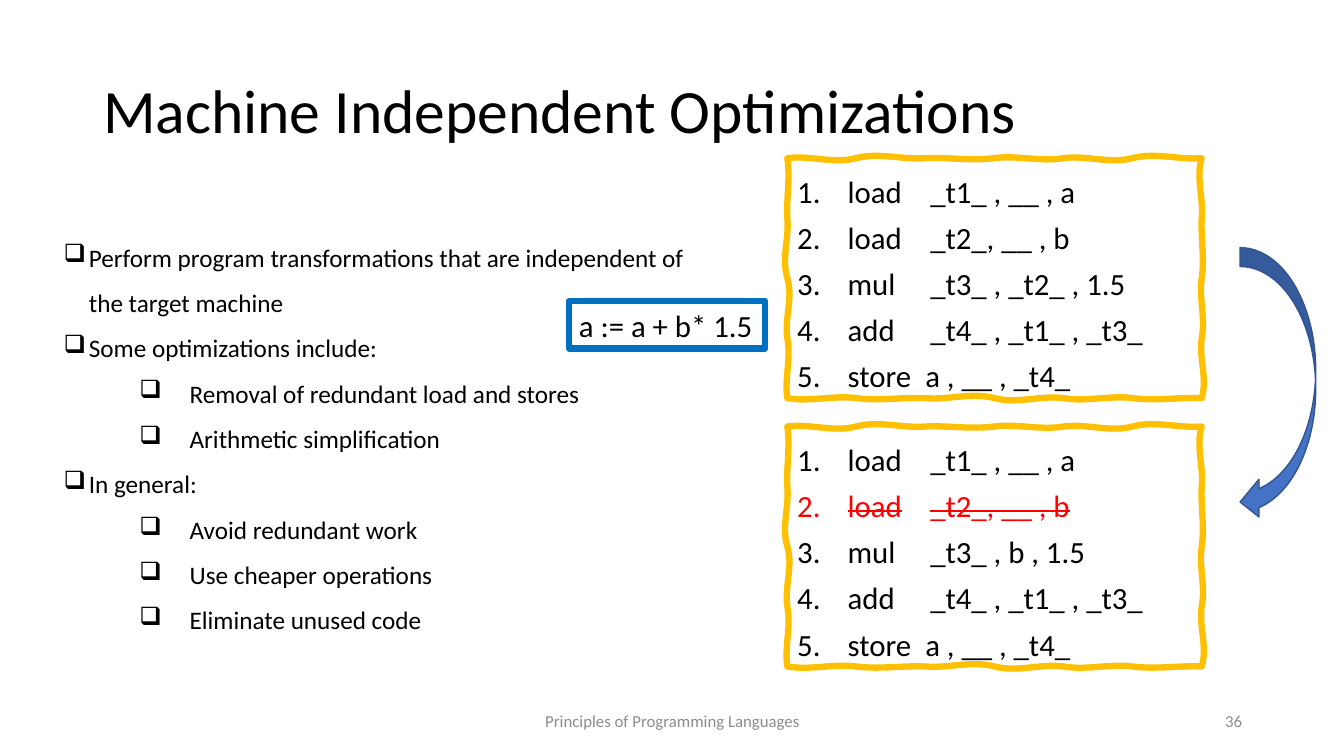
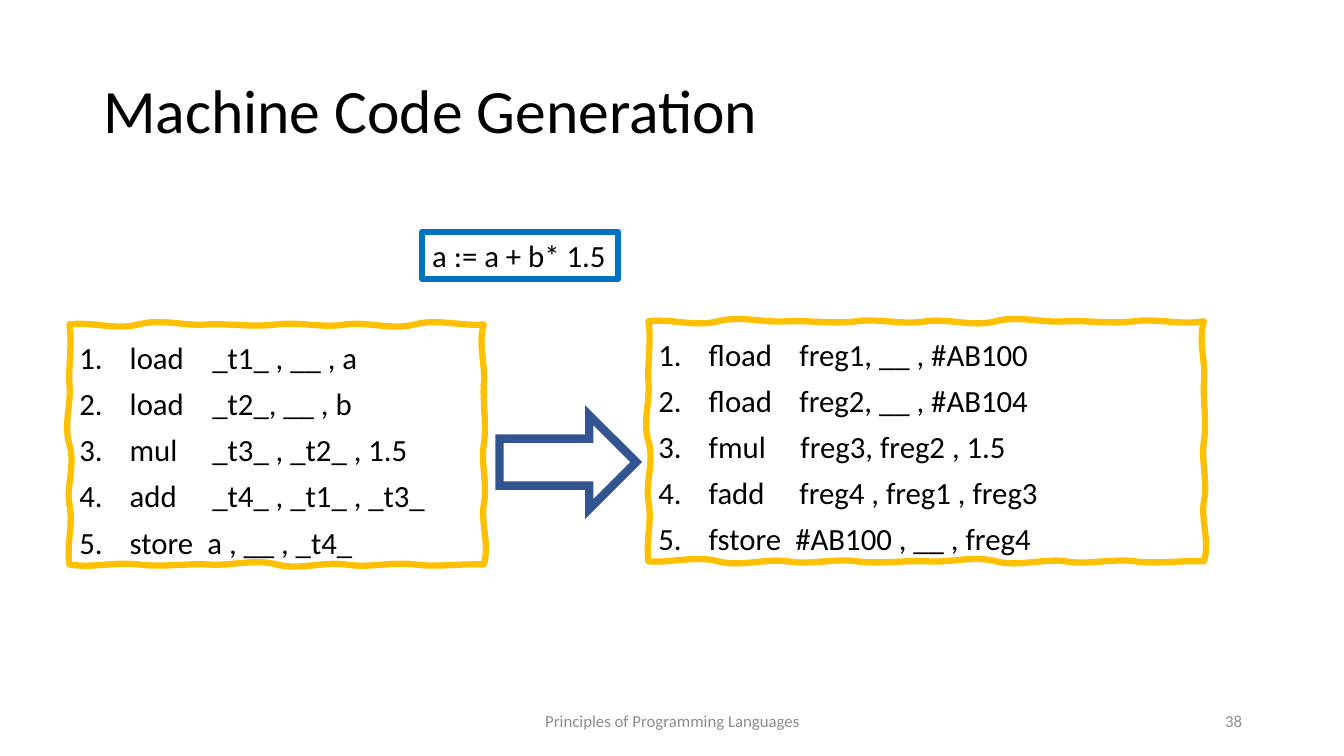
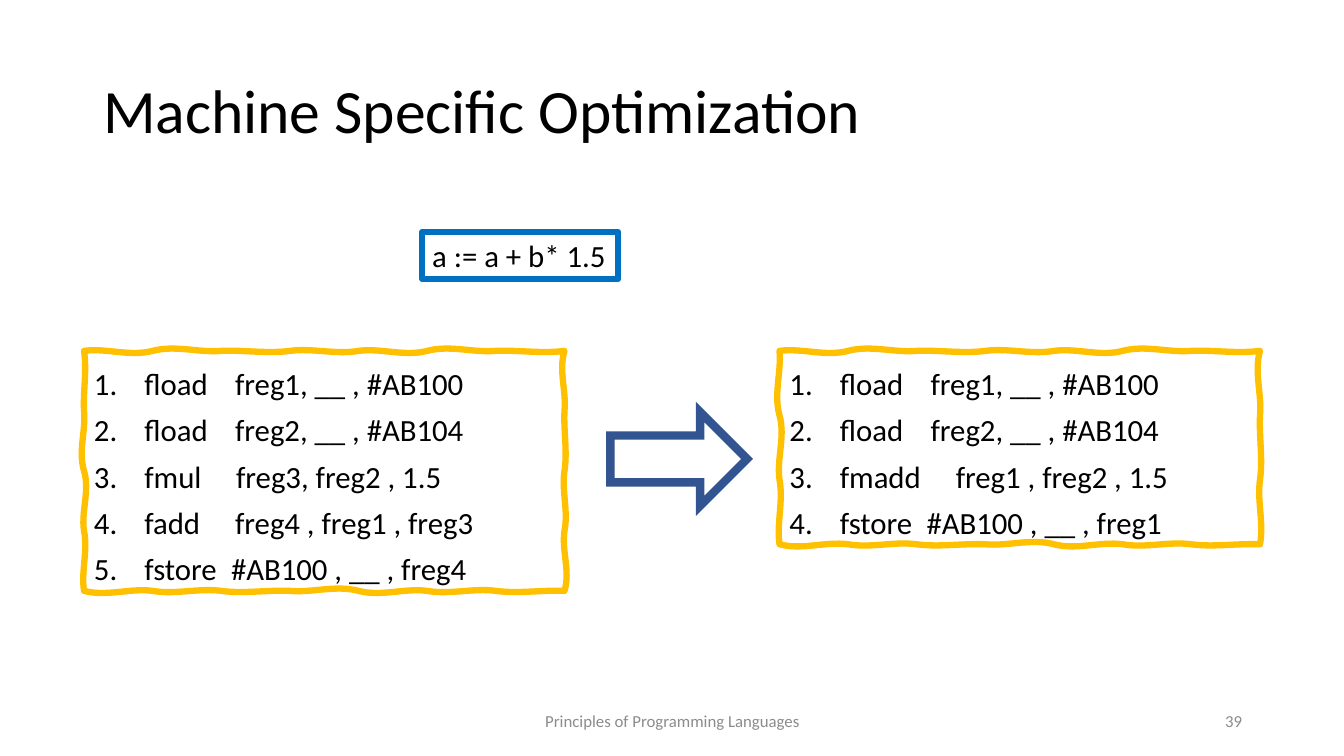
"""Build three slides on code optimization and generation."""
from lxml.etree import SubElement
from pptx import Presentation
from pptx.dml.color import RGBColor
from pptx.enum.shapes import MSO_SHAPE
from pptx.enum.text import MSO_ANCHOR, MSO_AUTO_SIZE, PP_ALIGN
from pptx.oxml.ns import qn
from pptx.util import Emu, Inches, Pt

COLORS = {
    "text": "000000",
    "footer": "8C8C8C",
    "code": "FFC000",
    "equation": "0070C0",
    "arrow": "4472C4",
    "arrow_edge": "325491",
    "removed": "FF0000",
}
FONT = "Calibri"
SYMBOL_FONT = "OpenSymbol"
WIDTH, HEIGHT = Inches(13.333), Inches(7.5)
COLUMN, ROW = WIDTH / 12, HEIGHT / 12
CODE_INDENT = 0.5
WAVE_LENGTH = 0.65
RIPPLES = [(-0.03, 0.06), (-0.06, 0.02), (-0.01, 0.03), (-0.03, 0.04)]
OPERAND_STOPS = {
    "load": 0.82, "mul": 0.82, "add": 0.82, "store": 0.77,
    "fload": 0.9, "fmul": 0.91, "fadd": 0.9, "fstore": 0.86, "fmadd": 1.15,
}

FOOTER = "Principles of Programming Languages"
EQUATION = "a := a + b* 1.5"
BULLETS = [
    (0, "Perform program transformations that are independent of the target machine"),
    (0, "Some optimizations include:"),
    (1, "Removal of redundant load and stores"),
    (1, "Arithmetic simplification"),
    (0, "In general:"),
    (1, "Avoid redundant work"),
    (1, "Use cheaper operations"),
    (1, "Eliminate unused code"),
]
THREE_ADDRESS_CODE = [
    ("load", "_t1_ , __ , a"),
    ("load", "_t2_, __ , b"),
    ("mul", "_t3_ , _t2_ , 1.5"),
    ("add", "_t4_ , _t1_ , _t3_"),
    ("store", "a , __ , _t4_"),
]
OPTIMIZED_CODE = [
    *THREE_ADDRESS_CODE[:2], ("mul", "_t3_ , b , 1.5"), *THREE_ADDRESS_CODE[3:],
]
MACHINE_CODE = [
    ("fload", "freg1, __ , #AB100"),
    ("fload", "freg2, __ , #AB104"),
    ("fmul", "freg3, freg2 , 1.5"),
    ("fadd", "freg4 , freg1 , freg3"),
    ("fstore", "#AB100 , __ , freg4"),
]
FUSED_CODE = [
    *MACHINE_CODE[:2],
    ("fmadd", "freg1 , freg2 , 1.5"),
    ("fstore", "#AB100 , __ , freg1"),
]


def grid(column, row, columns, rows):
    """Turn grid units into left, top, width and height."""
    return (Emu(round(column * COLUMN)), Emu(round(row * ROW)),
            Emu(round(columns * COLUMN)), Emu(round(rows * ROW)))


def color(name):
    """Look up a named colour."""
    return RGBColor.from_string(COLORS[name])


def style_font(paragraph, size, name="text"):
    """Set the font of a whole paragraph."""
    paragraph.font.name = FONT
    paragraph.font.size = Pt(size)
    paragraph.font.color.rgb = color(name)


def style_outline(shape, edge, width, fill=None):
    """Set the line and fill of a shape and drop its shadow."""
    shape.shadow.inherit = False
    shape.line.color.rgb = color(edge)
    shape.line.width = Pt(width)
    if fill:
        shape.fill.solid()
        shape.fill.fore_color.rgb = color(fill)
    else:
        shape.fill.background()


def style_list(paragraph, indent, spacing):
    """Give a paragraph a hanging indent and return its properties."""
    paragraph.line_spacing = spacing
    properties = paragraph._p.get_or_add_pPr()
    properties.set("marL", str(Inches(indent)))
    properties.set("indent", str(Inches(-0.5)))
    return properties


def add_paragraphs(frame, count):
    """Return the given number of paragraphs of an empty text frame."""
    return [frame.paragraphs[0]] + [frame.add_paragraph() for _ in range(count - 1)]


def add_label(page, text, place, alignment):
    """Add one small grey line at the foot of a slide."""
    frame = page.shapes.add_textbox(*place).text_frame
    frame.word_wrap = True
    frame.vertical_anchor = MSO_ANCHOR.MIDDLE
    para = frame.paragraphs[0]
    para.text = text
    para.alignment = alignment
    style_font(para, 12, "footer")


def add_page(deck, title, number, title_columns=10.35):
    """Add a slide with its title, footer and number."""
    page = deck.slides.add_slide(deck.slide_layouts[5])
    box = page.shapes.title
    box.left, box.top, box.width, box.height = grid(0.83, 0.64, title_columns, 2.32)
    frame = box.text_frame
    frame.text = title
    frame.auto_size = MSO_AUTO_SIZE.NONE
    frame.vertical_anchor = MSO_ANCHOR.MIDDLE
    para = frame.paragraphs[0]
    para.alignment = PP_ALIGN.LEFT
    para.line_spacing = 0.9
    style_font(para, 44)
    add_label(page, FOOTER, grid(3.98, 11.12, 4.05, 0.64), PP_ALIGN.CENTER)
    add_label(page, str(number), grid(8.48, 11.12, 2.7, 0.64), PP_ALIGN.RIGHT)
    return page


def add_bullets(page, items, place):
    """Add a two-level list with square markers."""
    frame = page.shapes.add_textbox(*place).text_frame
    frame.word_wrap = True
    for para, (level, text) in zip(add_paragraphs(frame, len(items)), items):
        para.text = text
        para.level = level
        properties = style_list(para, 0.25 + level, 1.5)
        SubElement(properties, qn("a:buFont"), typeface=SYMBOL_FONT)
        SubElement(properties, qn("a:buChar"), char="❑")
        style_font(para, 18)


def wavy_curves(width, height):
    """List the three points of each curve around a rippling rectangle."""
    corners = [(0, 0), (width, 0), (width, height), (0, height)]
    curves = []
    for side, (x, y) in enumerate(corners):
        end_x, end_y = corners[(side + 1) % 4]
        run_x, run_y = end_x - x, end_y - y
        count = round((abs(run_x) + abs(run_y)) / Inches(WAVE_LENGTH))
        for step in range(count):
            curve = []
            ripple = RIPPLES[(step + side) % len(RIPPLES)]
            for third, offset in enumerate((*ripple, 0), start=1):
                share = (step + third / 3) / count
                across, down = (0, offset) if side % 2 == 0 else (offset, 0)
                curve.append((round(x + run_x * share + Inches(across)),
                              round(y + run_y * share + Inches(down))))
            curves.append(curve)
    return curves


def add_wavy_box(page, left, top, width, height):
    """Add a freeform rectangle and bend its edges into curves."""
    builder = page.shapes.build_freeform(left, top)
    builder.add_line_segments([(left + width, top), (left + width, top + height),
                               (left, top + height)], close=True)
    box = builder.convert_to_shape()
    outline = next(box._element.iter(qn("a:path")))
    for piece in list(outline)[1:]:
        outline.remove(piece)
    for curve in wavy_curves(width, height):
        bend = SubElement(outline, qn("a:cubicBezTo"))
        for x, y in curve:
            SubElement(bend, qn("a:pt"), x=str(x), y=str(y))
    SubElement(outline, qn("a:close"))
    style_outline(box, "code", 4.5)
    return box


def add_code(page, lines, column, row, columns, removed=None):
    """Add a wavy box of numbered instructions, one of them struck out."""
    box = add_wavy_box(page, *grid(column, row, columns, 0.11 + 0.74 * len(lines)))
    frame = box.text_frame
    frame.word_wrap = True
    frame.vertical_anchor = MSO_ANCHOR.TOP
    paragraphs = add_paragraphs(frame, len(lines))
    for index, (para, (operation, operands)) in enumerate(zip(paragraphs, lines)):
        span = para.add_run()
        span.text = f"{operation}\t{operands}"
        para.alignment = PP_ALIGN.LEFT
        properties = style_list(para, CODE_INDENT, 1.25)
        SubElement(properties, qn("a:buAutoNum"), type="arabicPeriod")
        stop = Inches(CODE_INDENT + OPERAND_STOPS[operation])
        SubElement(SubElement(properties, qn("a:tabLst")), qn("a:tab"), pos=str(stop), algn="l")
        style_font(para, 22, "removed" if index == removed else "text")
        if index == removed:
            span._r.get_or_add_rPr().set("strike", "sngStrike")


def add_equation(page, column, row):
    """Add the framed source statement."""
    box = page.shapes.add_shape(MSO_SHAPE.RECTANGLE, *grid(column, row, 1.75, 0.75))
    style_outline(box, "equation", 4.5)
    box.text_frame.word_wrap = False
    para = box.text_frame.paragraphs[0]
    para.text = EQUATION
    para.alignment = PP_ALIGN.LEFT
    style_font(para, 22)


def add_block_arrow(page, column, row):
    """Add a hollow arrow with sharp corners."""
    arrow = page.shapes.add_shape(MSO_SHAPE.RIGHT_ARROW, *grid(column, row, 1.22, 1.49))
    style_outline(arrow, "arrow_edge", 6)
    SubElement(arrow.line._get_or_add_ln(), qn("a:miter"), lim="800000")


def add_curved_arrow(page, place):
    """Add a filled arrow that bends down the right side."""
    arrow = page.shapes.add_shape(MSO_SHAPE.CURVED_DOWN_ARROW, *place)
    arrow.rotation = 90
    style_outline(arrow, "arrow_edge", 1, "arrow")


def main():
    """Build and save the deck."""
    deck = Presentation()
    deck.slide_width, deck.slide_height = WIDTH, HEIGHT

    page = add_page(deck, "Machine Independent Optimizations", 36, 8.51)
    add_bullets(page, BULLETS, grid(0.48, 3.52, 5.86, 6.62))
    add_code(page, THREE_ADDRESS_CODE, 7.03, 2.51, 3.7)
    add_curved_arrow(page, grid(10.19, 5.5, 2.44, 1.2))
    add_code(page, OPTIMIZED_CODE, 7.03, 6.77, 3.7, removed=1)
    add_equation(page, 5.08, 4.78)

    page = add_page(deck, "Machine Code Generation", 38)
    add_code(page, THREE_ADDRESS_CODE, 0.62, 5.15, 3.7)
    add_equation(page, 3.77, 3.68)
    add_code(page, MACHINE_CODE, 5.79, 5.1, 4.96)
    add_block_arrow(page, 4.46, 6.59)

    page = add_page(deck, "Machine Specific Optimization", 39)
    add_equation(page, 3.77, 3.68)
    add_code(page, MACHINE_CODE, 0.75, 5.57, 4.29)
    add_block_arrow(page, 5.45, 6.54)
    add_code(page, FUSED_CODE, 6.96, 5.57, 4.29)

    deck.save("out.pptx")


if __name__ == "__main__":
    main()
